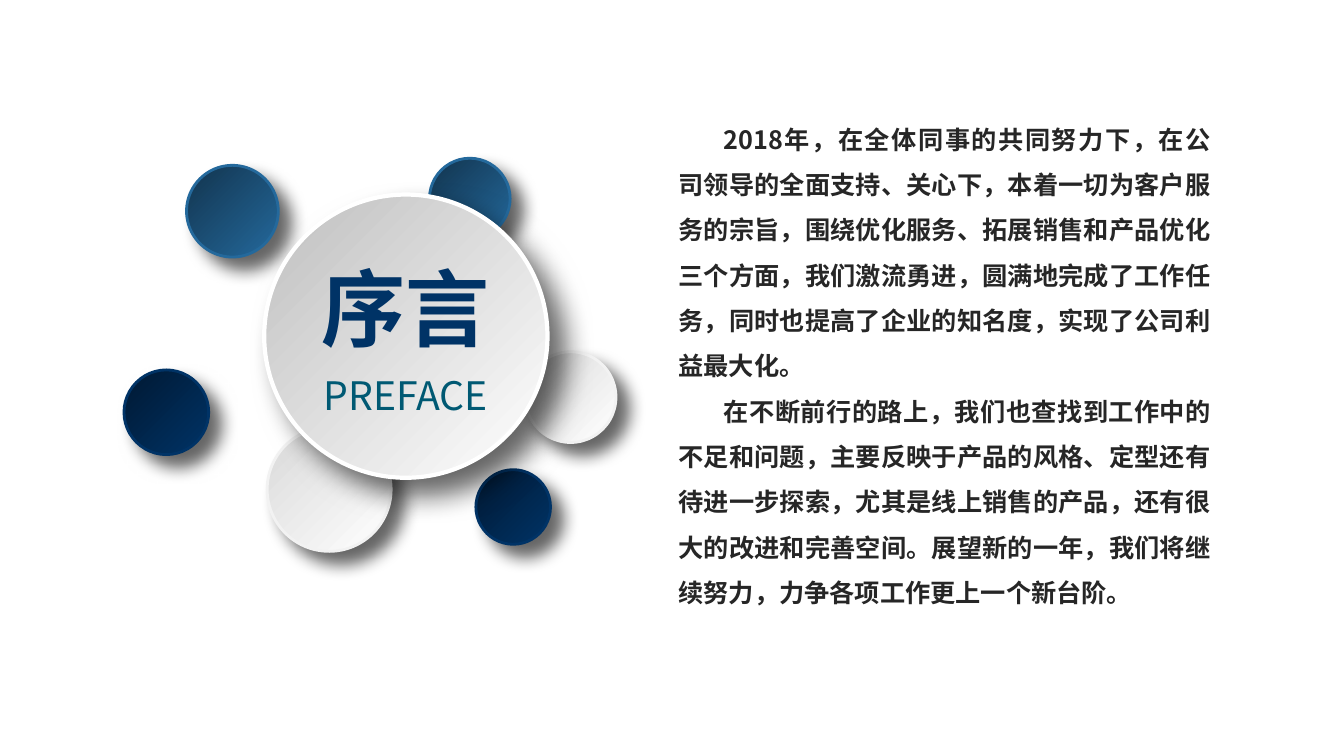
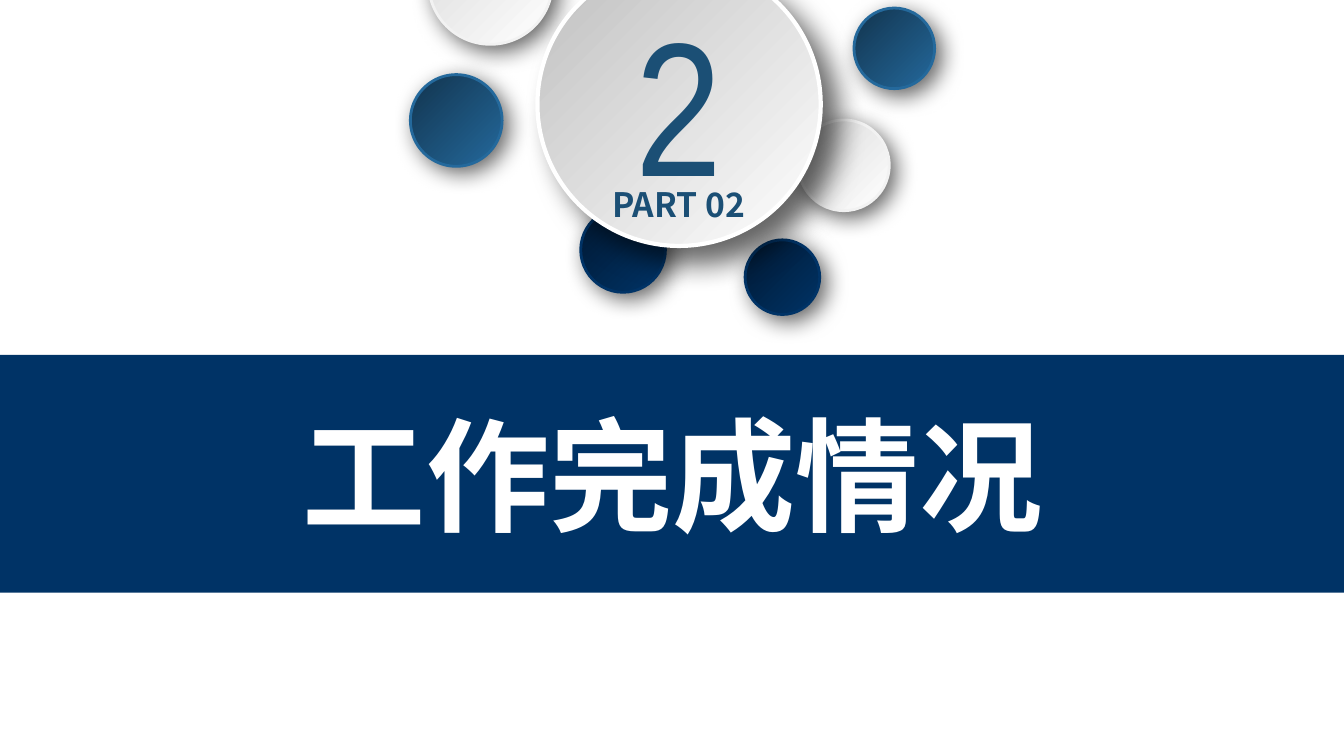
from lxml import etree
from pptx import Presentation
from pptx.dml.color import RGBColor
from pptx.enum.shapes import MSO_SHAPE as SHAPE
from pptx.enum.text import MSO_AUTO_SIZE as AUTO, PP_ALIGN as ALIGN
from pptx.oxml.ns import qn
from pptx.util import Inches, Pt

COLORS = {
    "navy": "003366", "navy_dark": "001933",
    "blue": "24699C", "blue_dark": "12344E",
    "white": "FFFFFF", "rim": "F2F2F2", "pale": "D9D9D9", "grey": "BFBFBF",
    "teal": "005973", "steel": "1B4F75", "ink": "262626", "shadow": "000000",
}
FONT = "Noto Sans CJK SC"
NUMBER_FONT = "Arial Narrow"

# Circle styles: light stop, dark stop, rim colour
NAVY = ("navy", "navy_dark", "navy")
BLUE = ("blue", "blue_dark", "blue")
PALE = ("white", "pale", "rim")
MAIN = ("white", "grey", "white")

# Small circles of every cluster, back to front: style, diameter
SMALL_CIRCLES = [(NAVY, 0.74), (BLUE, 0.91), (NAVY, 0.84),
                 (BLUE, 0.8), (PALE, 1.23), (PALE, 0.9)]

# Shadows: blur and distance in points
MAIN_SHADOW = (20, 16)

PREFACE = [
    "2018年，在全体同事的共同努力下，在公司领导的全面支持、关心下，本着一切为客户服务的宗旨，"
    "围绕优化服务、拓展销售和产品优化三个方面，我们激流勇进，圆满地完成了工作任务，"
    "同时也提高了企业的知名度，实现了公司利益最大化。",
    "在不断前行的路上，我们也查找到工作中的不足和问题，主要反映于产品的风格、定型还有待进一步探索，"
    "尤其是线上销售的产品，还有很大的改进和完善空间。展望新的一年，我们将继续努力，"
    "力争各项工作更上一个新台阶。",
]


def rgb(name):
    return RGBColor.from_string(COLORS[name])


def add_shadow(sp, blur, dist):
    effects = sp._element.spPr.find(qn("a:effectLst"))
    shadow = etree.SubElement(
        effects, qn("a:outerShdw"), blurRad=str(Pt(blur)), dist=str(Pt(dist)),
        dir=str(45 * 60000), algn="tl", rotWithShape="0")
    color = etree.SubElement(shadow, qn("a:srgbClr"), val=COLORS["shadow"])
    etree.SubElement(color, qn("a:alpha"), val="60000")


def add_circle(s, left, top, size, style, shadow, rim_width=2):
    light, dark, rim = style
    sp = s.shapes.add_shape(SHAPE.OVAL, Inches(left), Inches(top),
                            Inches(size), Inches(size))
    sp.fill.gradient()
    sp.fill.gradient_angle = 135
    for stop, name in zip(sp.fill.gradient_stops, (light, dark)):
        stop.color.rgb = rgb(name)
    sp.line.color.rgb = rgb(rim)
    sp.line.width = Pt(rim_width)
    sp.shadow.inherit = False
    add_shadow(sp, *shadow)


def add_small_circles(s, places, shadow):
    for (style, size), (left, top) in zip(SMALL_CIRCLES, places):
        add_circle(s, left, top, size, style, shadow)


def add_main_circle(s, left, top):
    add_circle(s, left, top, 2.81, MAIN, MAIN_SHADOW, rim_width=3)


def add_band(s, top, height):
    sp = s.shapes.add_shape(SHAPE.RECTANGLE, 0, Inches(top),
                            Inches(13.33), Inches(height))
    sp.fill.solid()
    sp.fill.fore_color.rgb = rgb("navy")
    sp.line.fill.background()
    sp.shadow.inherit = False


def add_text(s, box, paragraphs, size, color, bold=False, font=FONT,
             align=ALIGN.CENTER, wrap=True, spacing=None, indent=0):
    tf = s.shapes.add_textbox(*map(Inches, box)).text_frame
    tf.word_wrap = wrap
    tf.auto_size = AUTO.SHAPE_TO_FIT_TEXT
    for i, text in enumerate(paragraphs):
        p = tf.add_paragraph() if i else tf.paragraphs[0]
        p.alignment = align
        p.line_spacing = spacing
        if indent:
            p._p.get_or_add_pPr().set("indent", str(Inches(indent)))
        r = p.add_run()
        r.text = text
        r.font.size = Pt(size)
        r.font.bold = bold
        r.font.name = font
        r.font.color.rgb = rgb(color)
        # East Asian typeface follows the Latin one
        latin = r.font._element.find(qn("a:latin"))
        latin.addnext(latin.makeelement(qn("a:ea"), {"typeface": font}))


def build_preface(s):
    # Circle cluster
    add_small_circles(s, [(4.72, 4.66), (1.85, 1.64), (1.23, 3.67),
                          (4.26, 1.57), (2.65, 4.24), (5.21, 3.49)], (12, 12))
    add_main_circle(s, 2.62, 1.93)
    # Heading and body
    add_text(s, (3.08, 2.5, 1.88, 1.11), ["序言"], 60, "navy", bold=True, wrap=False)
    add_text(s, (2.74, 3.63, 2.57, 0.57), ["PREFACE"], 28, "teal")
    add_text(s, (6.63, 1.03, 5.48, 5.1), PREFACE, 18, "ink", bold=True,
             align=ALIGN.JUSTIFY, spacing=1.5, indent=0.45)


def build_section(s):
    # Circles behind the band
    add_small_circles(s, [(7.39, 2.38), (4.07, 0.74), (5.76, 2.06),
                          (8.47, 0.08), (4.25, -0.79), (7.92, 1.19)], (16, 6))
    # Title band
    add_band(s, 3.52, 2.36)
    add_text(s, (1.56, 3.91, 10.22, 1.58), ["工作完成情况"], 88, "white", bold=True)
    # Section number
    add_main_circle(s, 5.33, -0.37)
    add_text(s, (6.21, -0.19, 1.04, 2.39), ["2"], 136, "steel",
             font=NUMBER_FONT, align=ALIGN.LEFT, wrap=False)
    add_text(s, (5.78, 1.78, 1.9, 0.5), ["PART 02"], 24, "steel", bold=True)


def main():
    prs = Presentation()
    prs.slide_width, prs.slide_height = Inches(13.33), Inches(7.5)
    for build in (build_preface, build_section):
        build(prs.slides.add_slide(prs.slide_layouts[6]))
    prs.save("out.pptx")


if __name__ == "__main__":
    main()
